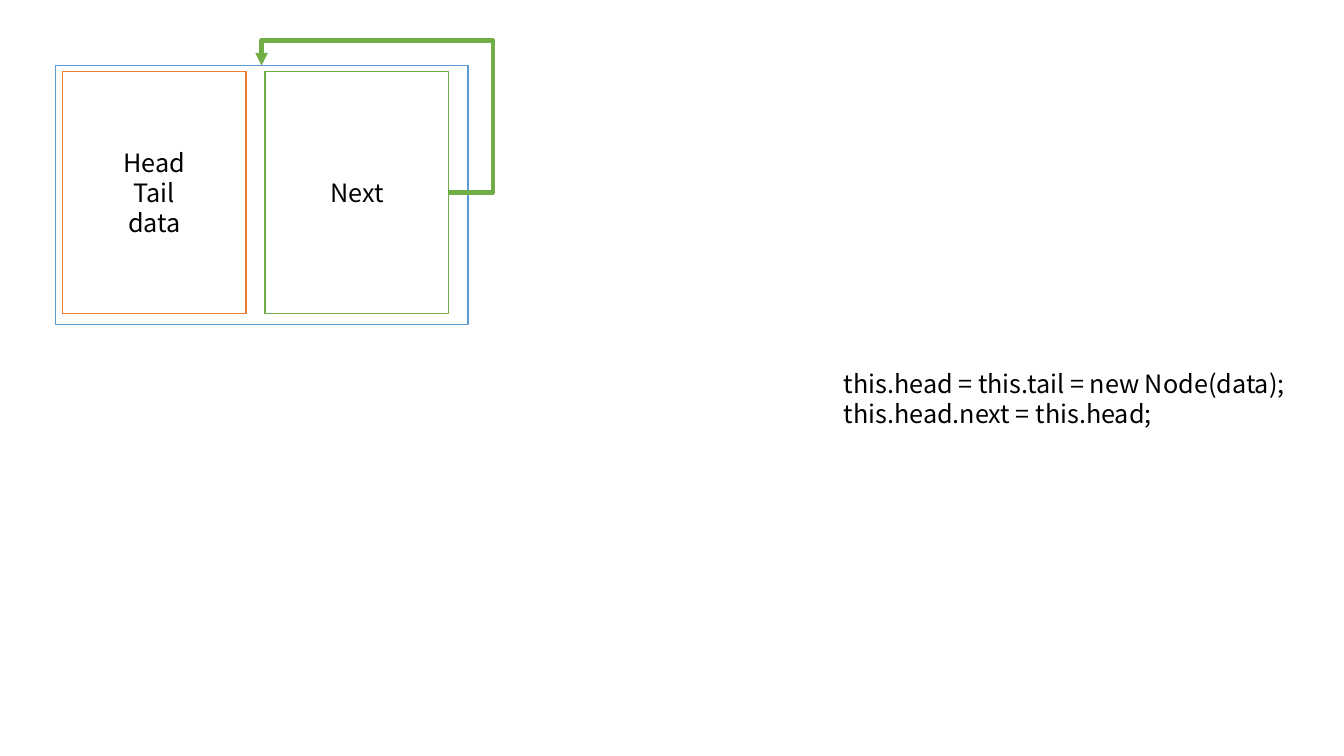
from lxml import etree
from pptx import Presentation
from pptx.dml.color import RGBColor
from pptx.enum.shapes import MSO_CONNECTOR, MSO_SHAPE
from pptx.enum.text import MSO_ANCHOR, MSO_AUTO_SIZE, PP_ALIGN
from pptx.oxml.ns import qn
from pptx.util import Inches, Pt

# Content
FIELDS = [(["Head", "Tail", "data"], "orange"), (["Next"], "green")]
CODE = ["this.head = this.tail = new Node(data);", "this.head.next = this.head;"]

COLORS = {"blue": "5B9BD5", "orange": "ED7D31", "green": "70AD47",
          "white": "FFFFFF", "black": "000000"}
FONT = "Noto Sans CJK KR"

# Layout in inches
NODE = (0.55, 0.65, 4.09, 2.57)
FIELD_LEFT, FIELD_TOP, FIELD_STEP = 0.62, 0.71, 2.01
FIELD_WIDTH, FIELD_HEIGHT = 1.82, 2.4
CODE_BOX = (8.27, 3.6, 4.64, 0.71)
LOOP_BENDS = {"adj1": -0.237, "adj2": 1.197}  # shares of the arrow's width and height


def color(name):
    return RGBColor.from_string(COLORS[name])


def add_frame(shapes, place, outline):
    box = shapes.add_shape(MSO_SHAPE.RECTANGLE, *map(Inches, place))
    box.shadow.inherit = False
    box.fill.solid()
    box.fill.fore_color.rgb = color("white")
    box.line.color.rgb = color(outline)
    box.line.width = Pt(1)
    return box


def write(text_frame, lines, align):
    for index, line in enumerate(lines):
        paragraph = text_frame.add_paragraph() if index else text_frame.paragraphs[0]
        paragraph.text = line
        paragraph.alignment = align
        paragraph.font.name = FONT
        paragraph.font.size = Pt(18)
        paragraph.font.color.rgb = color("black")


deck = Presentation()
deck.slide_width, deck.slide_height = Inches(13.33), Inches(7.5)
page = deck.slides.add_slide(deck.slide_layouts[6])

# List node with its fields
group = page.shapes.add_group_shape()
node = add_frame(group.shapes, NODE, "blue")
for column, (lines, outline) in enumerate(FIELDS):
    left = FIELD_LEFT + column * FIELD_STEP
    field = add_frame(group.shapes, (left, FIELD_TOP, FIELD_WIDTH, FIELD_HEIGHT), outline)
    field.text_frame.vertical_anchor = MSO_ANCHOR.MIDDLE
    write(field.text_frame, lines, PP_ALIGN.CENTER)

# Code
code = page.shapes.add_textbox(*map(Inches, CODE_BOX))
code.text_frame.word_wrap = False
code.text_frame.auto_size = MSO_AUTO_SIZE.SHAPE_TO_FIT_TEXT
write(code.text_frame, CODE, PP_ALIGN.LEFT)

# Arrow from the Next field (right side) back to the node (top side)
loop = page.shapes.add_connector(MSO_CONNECTOR.ELBOW, 0, 0, 0, 0)
loop.begin_connect(field, 3)
loop.end_connect(node, 0)
loop.line.color.rgb = color("green")
loop.line.width = Pt(3)
properties = loop._element.spPr
geometry = properties.find(qn("a:prstGeom"))
geometry.set("prst", "bentConnector4")
for name, share in LOOP_BENDS.items():
    etree.SubElement(geometry.find(qn("a:avLst")), qn("a:gd"),
                     name=name, fmla=f"val {round(share * 100000)}")
etree.SubElement(properties.find(qn("a:ln")), qn("a:tailEnd"), type="triangle")
etree.SubElement(properties, qn("a:effectLst"))

deck.save("out.pptx")
